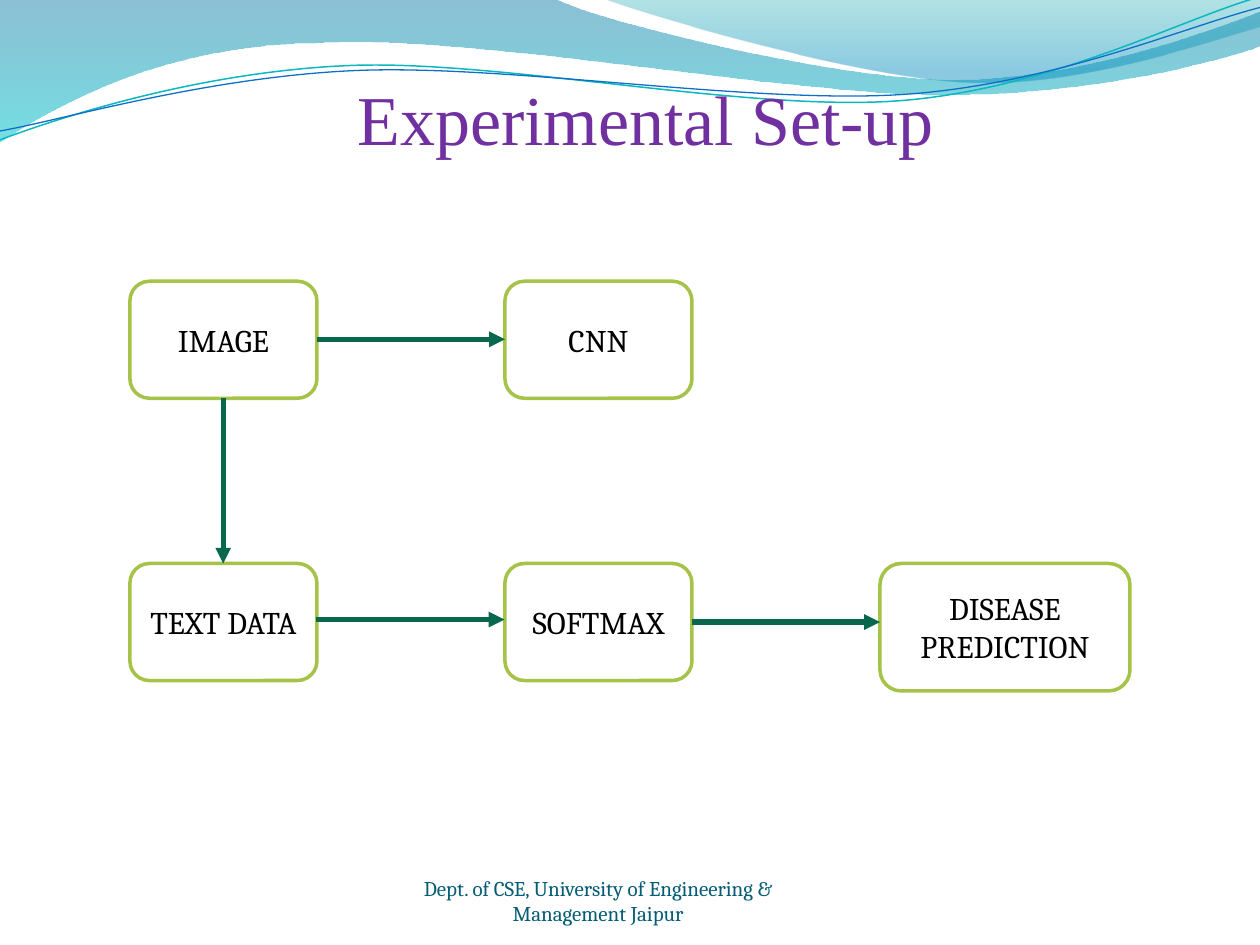
from math import cos, radians, sin

from lxml.etree import SubElement
from pptx import Presentation
from pptx.dml.color import RGBColor
from pptx.enum.shapes import MSO_CONNECTOR, MSO_SHAPE
from pptx.enum.text import MSO_ANCHOR, MSO_AUTO_SIZE, PP_ALIGN
from pptx.oxml.ns import qn
from pptx.util import Cm, Pt


def rgb(value):
    return RGBColor.from_string(value)


def write(shape, text, font, size, color, **frame):
    tf = shape.text_frame
    tf.word_wrap = True
    tf.auto_size = MSO_AUTO_SIZE.NONE
    for name, value in frame.items():
        setattr(tf, name, value)
    p = tf.paragraphs[0]
    p.alignment = PP_ALIGN.CENTER
    r = p.add_run()
    r.text = text
    for name, value in {"name": font, "size": Pt(size), "bold": False}.items():
        setattr(r.font, name, value)
    r.font.color.rgb = rgb(color)


prs = Presentation()
prs.slide_width, prs.slide_height = Cm(25.4), Cm(19.05)
s = prs.slides.add_slide(prs.slide_layouts[5])

# Waves: a start point, then lines (one point) and Bezier curves (three points), in inches
# Gradient stops are position, colour and opacity in percent
waves = [
    dict(start=(0, -0.01), parts=[
        [(4.4, -0.01)],
        [(4.76, 0.17), (6.64, 0.63), (7.58, 0.63)],
        [(8.53, 0.63), (9.58, 0.26), (10, 0.09)],
        [(10.01, 0.36)],
        [(9.83, 0.44), (8.7, 0.76), (7.46, 0.75)],
        [(6.22, 0.75), (3.82, 0.28), (2.57, 0.34)],
        [(1.29, 0.35), (0.46, 0.83), (-0.01, 1.13)],
    ], stops=[(0, "0074A1", 45), (100, "00C6CF", 55)]),
    dict(start=(4.79, -0.01), parts=[
        [(5.09, 0.11), (6.82, 0.62), (7.69, 0.65)],
        [(8.56, 0.69), (9.61, 0.32), (10, 0.21)],
        [(10, 0)],
    ], stops=[(0, "00A1A9", 30), (80, "008BBF", 45)]),
    dict(start=(0, 1.11), parts=[
        [(0.48, 0.93), (1.58, 0.57), (2.77, 0.52)],
        [(3.95, 0.47), (5.93, 0.89), (7.13, 0.8)],
        [(8.33, 0.71), (9.38, 0.15), (9.98, -0.02)],
    ], line=("0AB8BF", 0.85), center=(4.99, 0.58)),
    dict(start=(0, 1.04), parts=[
        [(0.47, 0.96), (1.64, 0.61), (2.83, 0.56)],
        [(4.03, 0.51), (5.97, 0.83), (7.17, 0.75)],
        [(8.36, 0.67), (9.41, 0.21), (10, 0.06)],
    ], line=("0F6FC6", 0.75), center=(5, 0.59)),
]
TILT = 2.7
for wave in waves:
    points = [wave["start"]] + sum(wave["parts"], [])
    if "center" in wave:  # level the points, the shape is tilted back below
        cx, cy = wave["center"]
        c, d = cos(radians(TILT)), sin(radians(TILT))
        points = [(cx + (x - cx) * c - (y - cy) * d, cy + (x - cx) * d + (y - cy) * c)
                  for x, y in points]
    points = [(Cm(2.54 * x), Cm(2.54 * y)) for x, y in points]
    builder = s.shapes.build_freeform(*points[0])
    builder.add_line_segments(points[1:], close="stops" in wave)
    sp = builder.convert_to_shape()
    sp.shadow.inherit = False

    # Join each three points into one curve
    segments = iter(list(sp.element.iter(qn("a:lnTo"))))
    for part in wave["parts"]:
        group = [next(segments) for point in part]
        if len(group) == 3:
            group[0].tag = qn("a:cubicBezTo")
            for extra in group[1:]:
                group[0].append(extra[0])
                extra.getparent().remove(extra)

    if "stops" in wave:
        sp.line.fill.background()
        sp.fill.gradient()
        sp.fill.gradient_angle = 270
        for stop, (position, color, opacity) in zip(sp.fill.gradient_stops, wave["stops"]):
            stop.position = position / 100
            stop.color.rgb = rgb(color)
        colors = sp.element.spPr.iter(qn("a:srgbClr"))
        for clr, (position, color, opacity) in zip(colors, wave["stops"]):
            SubElement(clr, qn("a:alpha"), val=str(opacity * 1000))
    else:
        color, width = wave["line"]
        sp.rotation = 360 - TILT
        sp.fill.background()
        sp.line.color.rgb = rgb(color)
        sp.line.width = Pt(width)

# Footer
flush = dict(margin_left=0, margin_right=0, margin_bottom=0,
             vertical_anchor=MSO_ANCHOR.BOTTOM)
footer = s.shapes.add_textbox(Cm(7.4), Cm(17.65), Cm(9.32), Cm(1.02))
write(footer, "Dept. of CSE, University of Engineering & Management Jaipur",
      "Cambria", 12, "045C75", margin_top=0, **flush)

# Title, brought in front of the waves
title = s.shapes.title
title.left, title.top, title.width, title.height = Cm(1.59), Cm(0.65), Cm(22.86), Cm(2.56)
write(title, "Experimental Set-up", "Times New Roman", 40, "7030A0",
      margin_top=Cm(0.13), **flush)
title.element.getparent().append(title.element)

# Boxes on a grid of columns and rows
LEFT, TOP, COL_STEP, ROW_STEP = 2.62, 5.67, 7.56, 5.69
BOX_W, BOX_H = 3.77, 2.36
boxes = [
    ("IMAGE", 0, 0, BOX_W, BOX_H),
    ("CNN", 1, 0, BOX_W, BOX_H),
    ("TEXT DATA", 0, 1, BOX_W, BOX_H),
    ("SOFTMAX", 1, 1, BOX_W, BOX_H),
    ("DISEASE PREDICTION", 2, 1, 5.04, 2.57),
]
for text, col, row, width, height in boxes:
    sp = s.shapes.add_shape(MSO_SHAPE.ROUNDED_RECTANGLE, Cm(LEFT + col * COL_STEP),
                            Cm(TOP + row * ROW_STEP), Cm(width), Cm(height))
    sp.shadow.inherit = False
    sp.fill.solid()
    sp.fill.fore_color.rgb = rgb("FFFFFF")
    sp.line.color.rgb = rgb("A5C249")
    sp.line.width = Pt(2)
    write(sp, text, "Cambria", 18, "000000", vertical_anchor=MSO_ANCHOR.MIDDLE)

# Arrows: from x, y to x, y
arrows = [
    (6.39, 6.84, 10.18, 6.84),
    (6.38, 12.49, 10.17, 12.49),
    (13.95, 12.54, 17.74, 12.54),
    (4.5, 8.03, 4.5, 11.36),
]
for ends in arrows:
    arrow = s.shapes.add_connector(MSO_CONNECTOR.STRAIGHT, *map(Cm, ends))
    arrow.line.color.rgb = rgb("08684E")
    arrow.line.width = Pt(3)
    ln = arrow.element.spPr.find(qn("a:ln"))
    SubElement(ln, qn("a:tailEnd"), type="triangle")
    SubElement(arrow.element.spPr, qn("a:effectLst"))

prs.save("out.pptx")
